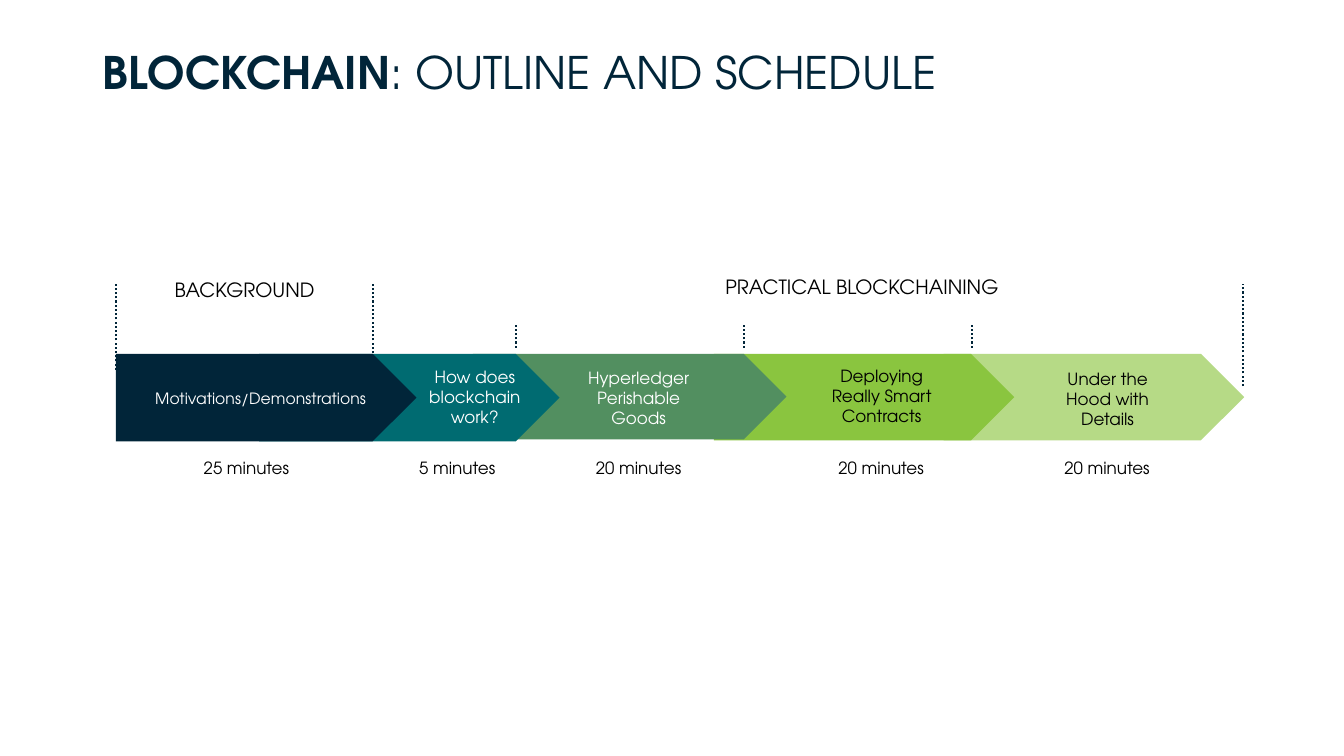
import dataclasses
import lxml.etree
import pptx
import pptx.dml.color
import pptx.enum.dml
import pptx.enum.shapes
import pptx.enum.text
import pptx.oxml.ns
import pptx.util

Inches = pptx.util.Inches
Align = pptx.enum.text.PP_ALIGN
Anchor = pptx.enum.text.MSO_ANCHOR


@dataclasses.dataclass
class Theme:
    face: str = "TeX Gyre Adventor"
    navy: str = "012539"
    teal: str = "006B71"
    green: str = "528F60"
    lime: str = "8AC53F"
    pale: str = "B6DA86"
    white: str = "FFFFFF"
    black: str = "000000"
    title: float = 32
    phase: float = 14
    text: float = 12
    small: float = 11.1
    rule: float = 1.5


def color(code):
    return pptx.dml.color.RGBColor.from_string(code)


def assign(item, values):
    for name, value in values.items():
        setattr(item, name, value)


class Deck:
    def __init__(self, theme):
        self.theme = theme
        self.file = pptx.Presentation()
        assign(self.file, {"slide_width": Inches(13.33), "slide_height": Inches(7.5)})
        self.slide = self.file.slides.add_slide(self.file.slide_layouts[1])

    def fill_text(self, shape, box, runs, size, shade, align=Align.CENTER, space=None, wrap=True, anchor=Anchor.TOP):
        """Place a text shape and fill it with (text, bold) runs."""
        assign(shape, dict(zip(("left", "top", "width", "height"), map(Inches, box))))
        frame = shape.text_frame
        assign(frame, {"word_wrap": wrap, "vertical_anchor": anchor,
                       "auto_size": pptx.enum.text.MSO_AUTO_SIZE.NONE})
        line = frame.paragraphs[0]
        assign(line, {"alignment": align, "line_spacing": space, "space_before": pptx.util.Pt(0)})
        for text, bold in runs:
            run = line.add_run()
            run.text = text
            assign(run.font, {"name": self.theme.face, "size": pptx.util.Pt(size), "bold": bold})
            run.font.color.rgb = color(shade)

    def title(self, box, runs):
        self.fill_text(self.slide.shapes.title, box, runs, self.theme.title, self.theme.navy, Align.LEFT, 0.9)

    def body(self, box, text):
        shape = self.slide.placeholders[1]
        props = shape.text_frame.paragraphs[0]._p.get_or_add_pPr()
        for name in ("marL", "indent"):
            props.set(name, "0")
        lxml.etree.SubElement(props, pptx.oxml.ns.qn("a:buNone"))
        self.fill_text(shape, box, [(text, False)], self.theme.text, self.theme.black, space=0.9)

    def label(self, box, text, size, shade, **values):
        shape = self.slide.shapes.add_textbox(*map(Inches, box))
        self.fill_text(shape, box, [(text, False)], size, shade, **values)

    def arrow(self, box, fill):
        kind = pptx.enum.shapes.MSO_SHAPE.PENTAGON
        shape = self.slide.shapes.add_shape(kind, *map(Inches, box))
        shape.shadow.inherit = False
        shape.fill.solid()
        shape.fill.fore_color.rgb = color(fill)
        shape.line.fill.background()

    def rule(self, left, top, base):
        """Draw an upright dotted line."""
        kind = pptx.enum.shapes.MSO_CONNECTOR.STRAIGHT
        line = self.slide.shapes.add_connector(kind, *map(Inches, (left, base, left, top)))
        assign(line.line, {"width": pptx.util.Pt(self.theme.rule),
                           "dash_style": pptx.enum.dml.MSO_LINE.ROUND_DOT})
        line.line.color.rgb = color(self.theme.navy)
        lxml.etree.SubElement(line._element.spPr, pptx.oxml.ns.qn("a:effectLst"))


def main():
    theme = Theme()
    deck = Deck(theme)
    deck.title((0.92, 0.45, 11.5, 0.67), [("BLOCKCHAIN", True), (": OUTLINE AND SCHEDULE", False)])

    for left, base in ((1.15, 3.67), (3.7, 3.67), (12.33, 3.83)):
        deck.rule(left, 2.82, base)
    for step in range(3):
        deck.rule(5.12 + 2.26 * step, 3.2, 3.45)

    arrows = [
        (9.36, 2.98, 0.86, theme.pale),
        (7.08, 2.98, 0.86, theme.lime),
        (4.69, 3.11, 0.85, theme.green),
        (2.57, 2.98, 0.87, theme.teal),
        (1.15, 2.98, 0.87, theme.navy),
    ]
    for left, width, height, fill in arrows:
        deck.arrow((left, 3.51, width, height), fill)

    deck.label((1.43, 3.75, 2.31, 0.4), "Motivations/Demonstrations", theme.small, theme.white,
               wrap=False, anchor=Anchor.MIDDLE)
    topics = [
        (4.12, 3.59, 1.18, "How does blockchain work?", theme.white),
        (5.55, 3.6, 1.57, "Hyperledger Perishable Goods", theme.white),
        (8.11, 3.58, 1.27, "Deploying Really Smart Contracts", theme.black),
        (10.35, 3.61, 1.27, "Under the Hood with Details", theme.black),
    ]
    for left, top, width, text, shade in topics:
        deck.label((left, top, width, 0.71), text, theme.text, shade)

    deck.body((1.24, 4.51, 2.41, 0.36), "25 minutes")
    times = [(3.33, 2.41, 5), (5.27, 2.13, 20), (7.68, 2.12, 20), (10.04, 1.88, 20)]
    for left, width, count in times:
        deck.label((left, 4.51, width, 0.36), f"{count} minutes", theme.text, theme.black, space=0.9)

    phases = [(1.22, 2.73, 2.41, "BACKGROUND"), (7.06, 2.7, 2.98, "PRACTICAL BLOCKCHAINING")]
    for left, top, width, text in phases:
        deck.label((left, top, width, 0.37), text, theme.phase, theme.black, space=0.9)

    deck.file.save("out.pptx")


if __name__ == "__main__":
    main()
